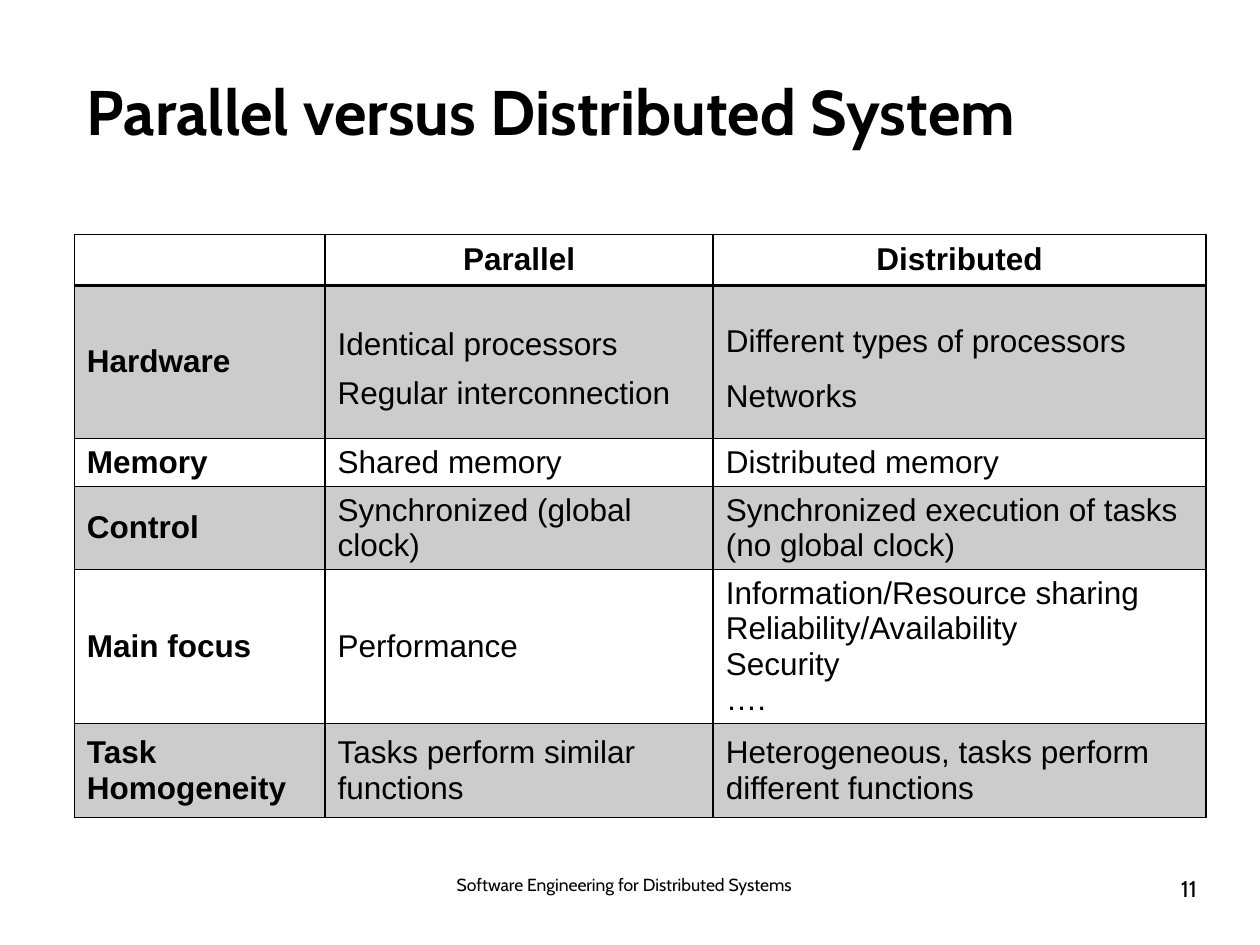
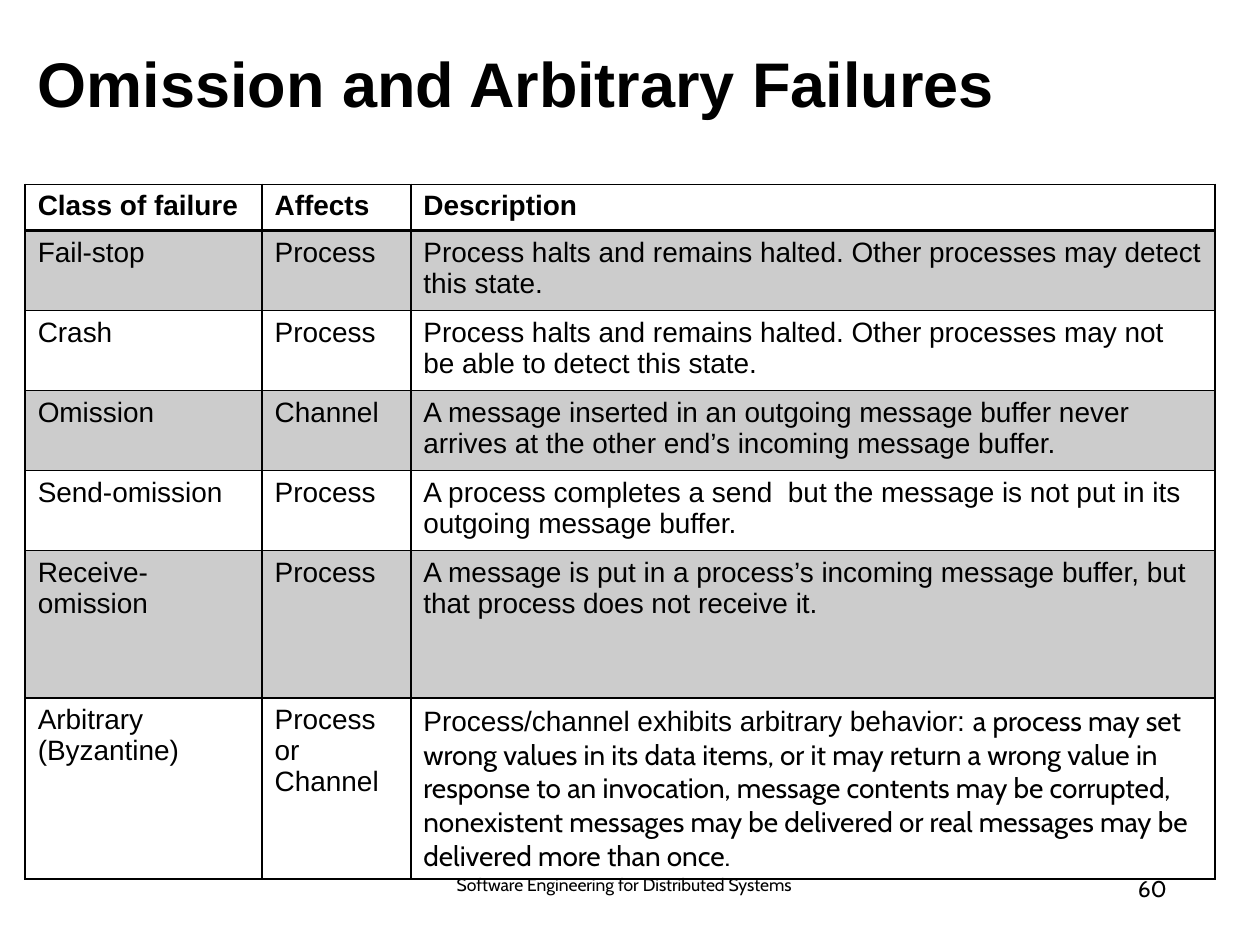
from lxml import etree
from pptx import Presentation
from pptx.dml.color import RGBColor
from pptx.enum.text import MSO_ANCHOR, MSO_AUTO_SIZE, PP_ALIGN
from pptx.oxml.ns import qn
from pptx.util import Pt

LEFT, CENTER, RIGHT = PP_ALIGN.LEFT, PP_ALIGN.CENTER, PP_ALIGN.RIGHT
TOP, MIDDLE = MSO_ANCHOR.TOP, MSO_ANCHOR.MIDDLE
NO_AUTOFIT = MSO_AUTO_SIZE.NONE

BLACK = RGBColor(0x00, 0x00, 0x00)
BAND_ALPHA = 20
SANS, CABIN = "Arial", "Cabin"
TITLE_ONLY = 5
FOOTER_TOP, FOOTER_HEIGHT = 499.7, 29.5
COURSE = "Software Engineering for Distributed Systems"

SYSTEMS = [
    ["", "Parallel", "Distributed"],
    ["Hardware", "Identical processors\nRegular interconnection",
     "Different types of processors\nNetworks"],
    ["Memory", "Shared memory", "Distributed memory"],
    ["Control", "Synchronized (global clock)",
     "Synchronized execution of tasks (no global clock)"],
    ["Main focus", "Performance",
     "Information/Resource sharing\nReliability/Availability\nSecurity\n…."],
    ["Task Homogeneity", "Tasks perform similar functions",
     "Heterogeneous, tasks perform different functions"],
]
FAILURES = [
    ["Class of failure", "Affects", "Description"],
    ["Fail-stop", "Process",
     "Process halts and remains halted. Other processes may detect this state."],
    ["Crash", "Process",
     "Process halts and remains halted. Other processes may not be able to "
     "detect this state."],
    ["Omission", "Channel",
     "A message inserted in an outgoing message buffer never arrives at the "
     "other end’s incoming message buffer."],
    ["Send-omission", "Process",
     "A process completes a send  but the message is not put in its outgoing "
     "message buffer."],
    ["Receive-omission", "Process",
     "A message is put in a process’s incoming message buffer, but that "
     "process does not receive it."],
    ["Arbitrary (Byzantine)", "Process or Channel",
     "Process/channel exhibits arbitrary behavior: "],
]
ARBITRARY_DETAIL = (
    "a process may set wrong values in its data items, or it may return a wrong "
    "value in response to an invocation, message contents may be corrupted, "
    "nonexistent messages may be delivered or real messages may be delivered "
    "more than once.")


def add_run(paragraph, text, font, size, bold=False):
    run = paragraph.add_run()
    run.text = text
    look = {"name": font, "size": Pt(size), "bold": bold}
    for key, value in look.items():
        setattr(run.font, key, value)
    run.font.color.rgb = BLACK


def set_title(slide, text, box, font):
    title = slide.shapes.title
    for side, value in zip(("left", "top", "width", "height"), box):
        setattr(title, side, Pt(value))
    frame = title.text_frame
    frame.word_wrap, frame.auto_size = True, NO_AUTOFIT
    frame.vertical_anchor = MIDDLE
    frame.paragraphs[0].alignment = LEFT
    add_run(frame.paragraphs[0], text, font, 36, True)


def add_footer_text(slide, text, left, width, size, align):
    box = slide.shapes.add_textbox(Pt(left), Pt(FOOTER_TOP), Pt(width), Pt(FOOTER_HEIGHT))
    frame = box.text_frame
    frame.word_wrap, frame.vertical_anchor = True, TOP
    for side in ("left", "top", "right", "bottom"):
        setattr(frame, f"margin_{side}", 0)
    frame.paragraphs[0].alignment = align
    add_run(frame.paragraphs[0], text, CABIN, size)


def add_footer(slide, number, number_left):
    add_footer_text(slide, number, number_left, 167.8, 13, RIGHT)
    add_footer_text(slide, COURSE, 242.6, 228.2, 10, CENTER)


def set_borders(cell, row):
    """Rule all four sides, with a heavier line below the header row."""
    props = cell._tc.get_or_add_tcPr()
    heavy_side = {0: "lnB", 1: "lnT"}.get(row)
    for side in ("lnL", "lnR", "lnT", "lnB"):
        weight = Pt(2 if side == heavy_side else 1)
        line = etree.SubElement(props, qn(f"a:{side}"), w=str(weight))
        fill = etree.SubElement(line, qn("a:solidFill"))
        etree.SubElement(fill, qn("a:srgbClr"), val=str(BLACK))


def set_band(cell, row):
    if row % 2 == 0:
        cell.fill.background()
        return
    cell.fill.solid()
    cell.fill.fore_color.rgb = BLACK
    color = cell._tc.tcPr.find(qn("a:solidFill")).find(qn("a:srgbClr"))
    etree.SubElement(color, qn("a:alpha"), val=str(BAND_ALPHA * 1000))


def add_banded_table(slide, rows, left, top, widths, heights, size, anchor,
                     header_align=LEFT, bold_labels=False):
    frame = slide.shapes.add_table(len(rows), len(widths), Pt(left), Pt(top),
                                   Pt(sum(widths)), Pt(sum(heights)))
    table = frame.table
    table.horz_banding = table.first_row = False
    for column, width in zip(table.columns, widths):
        column.width = Pt(width)
    for r, (texts, height) in enumerate(zip(rows, heights)):
        table.rows[r].height = Pt(height)
        for c, text in enumerate(texts):
            cell = table.cell(r, c)
            cell.vertical_anchor = anchor
            set_borders(cell, r)
            set_band(cell, r)
            bold = r == 0 or (bold_labels and c == 0)
            for i, line in enumerate(text.split("\n")):
                body = cell.text_frame
                paragraph = body.add_paragraph() if i else body.paragraphs[0]
                paragraph.alignment = LEFT if r else header_align
                if line:
                    add_run(paragraph, line, SANS, size, bold)
    return table


def build_systems(slide):
    set_title(slide, "Parallel versus Distributed System", (42.5, 37.4, 641.5, 51), CABIN)
    table = add_banded_table(
        slide, SYSTEMS, 42.5, 133.9, [143.3, 221.8, 281.5],
        [29.1, 87.4, 27.4, 47.4, 88, 53.7], 18, MIDDLE, CENTER, bold_labels=True)
    for column, space_before in ((1, 0), (2, 3.6)):
        for paragraph in table.cell(1, column).text_frame.paragraphs:
            paragraph.line_spacing = 1.4
            paragraph.space_before = Pt(space_before)
    add_footer(slide, "11", 516.2)


def build_failures(slide):
    set_title(slide, "Omission and Arbitrary Failures", (14.4, 21.6, 697.7, 51), SANS)
    add_footer(slide, "60", 499)
    table = add_banded_table(
        slide, FAILURES, 14.4, 105.4, [135.4, 85, 459.4],
        [26.3] + [45.7] * 4 + [84.3, 103.4], 16, TOP)
    arbitrary = table.cell(len(FAILURES) - 1, 2).text_frame.paragraphs[0]
    add_run(arbitrary, ARBITRARY_DETAIL, CABIN, 16)


def main():
    deck = Presentation()
    deck.slide_width, deck.slide_height = Pt(720), Pt(540)
    for build in (build_systems, build_failures):
        build(deck.slides.add_slide(deck.slide_layouts[TITLE_ONLY]))
    deck.save("out.pptx")


if __name__ == "__main__":
    main()
